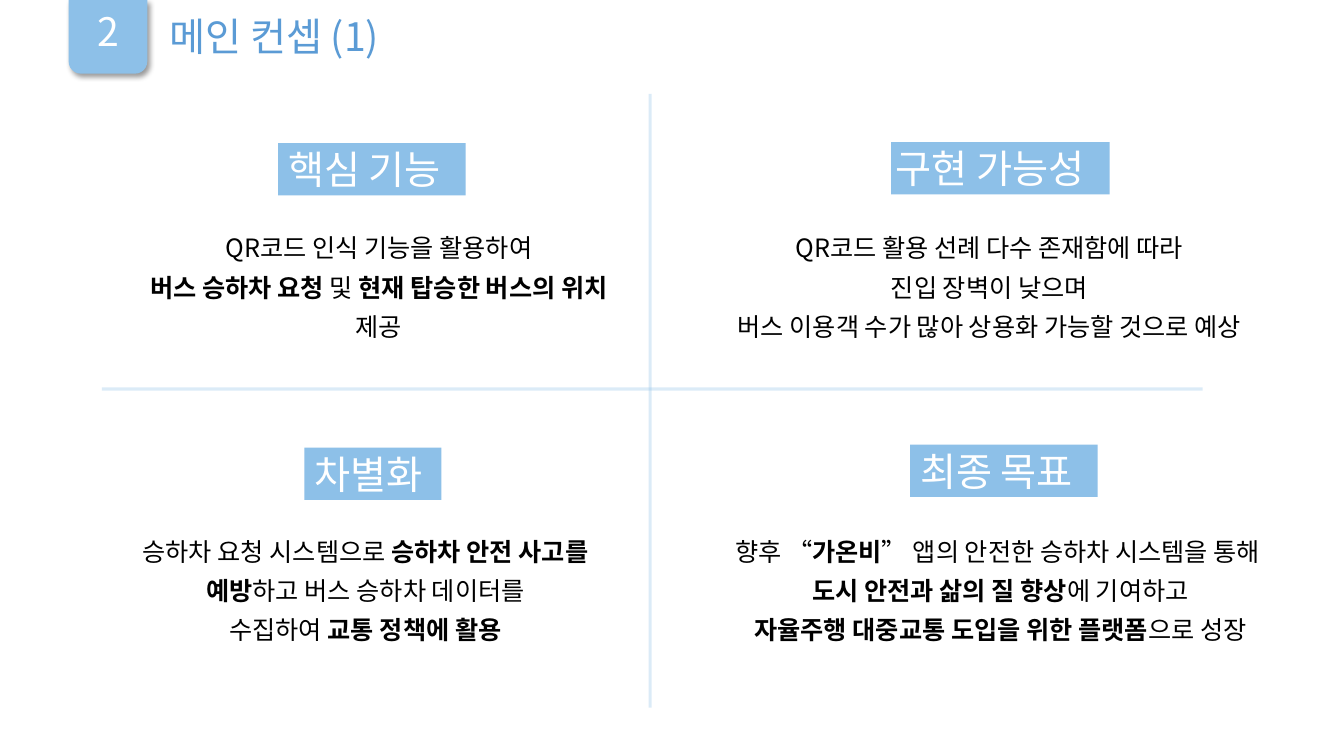
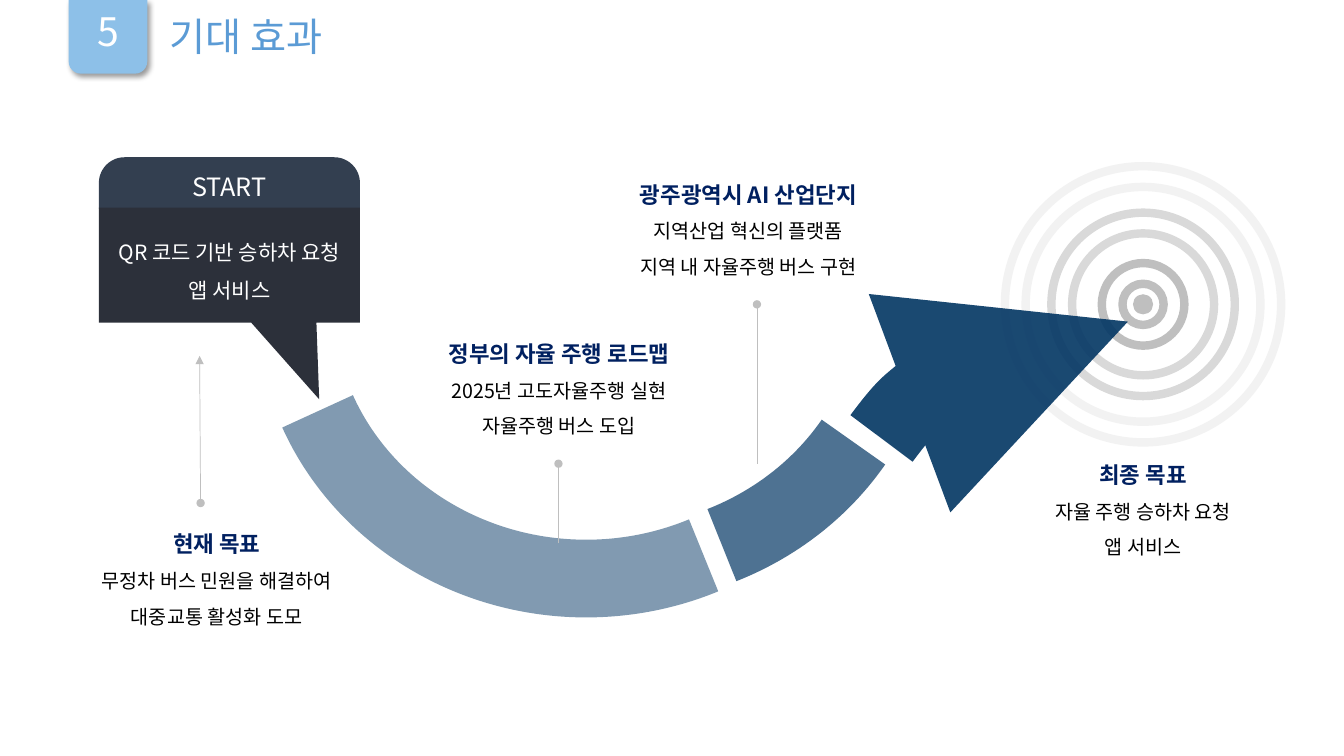
from dataclasses import dataclass

from lxml import etree
from pptx import Presentation
from pptx.dml.color import RGBColor
from pptx.enum.shapes import MSO_CONNECTOR, MSO_SHAPE
from pptx.enum.text import MSO_ANCHOR, PP_ALIGN
from pptx.oxml.ns import qn
from pptx.util import Pt

RECT = MSO_SHAPE.RECTANGLE
ROUND = MSO_SHAPE.ROUND_2_SAME_RECTANGLE
OVAL = MSO_SHAPE.OVAL
DONUT = MSO_SHAPE.DONUT
ARC = MSO_SHAPE.ARC
CALLOUT = MSO_SHAPE.RECTANGULAR_CALLOUT
STRAIGHT = MSO_CONNECTOR.STRAIGHT
LEFT, CENTER = PP_ALIGN.LEFT, PP_ALIGN.CENTER
TOP, MIDDLE = MSO_ANCHOR.TOP, MSO_ANCHOR.MIDDLE


@dataclass(frozen=True)
class Theme:
    font: str = "Noto Sans CJK KR"
    sky: str = "8DC0E8"
    title: str = "5B9BD5"
    white: str = "FFFFFF"
    black: str = "000000"
    navy: str = "002060"
    road: str = "043764"
    slate: str = "333F50"
    dark: str = "2C303A"
    gray: str = "BFBFBF"
    mid: str = "D9D9D9"
    pale: str = "F2F2F2"
    head: int = 28
    body: int = 18
    lead: int = 16
    call: int = 15
    note: int = 14


T = Theme()


def color(code):
    return RGBColor.from_string(code)


def place(box):
    return [Pt(v) for v in box]


def fade(shape, share):
    for node in shape.element.spPr.iter(qn("a:srgbClr")):
        etree.SubElement(node, qn("a:alpha"), val=str(share * 1000))


def ends(shape, head, tail):
    line = shape.element.spPr.find(qn("a:ln"))
    for tag, kind in (("a:headEnd", head), ("a:tailEnd", tail)):
        if kind:
            etree.SubElement(line, qn(tag), type=kind)


def cast(shape):
    effects = shape.element.spPr.find(qn("a:effectLst"))
    shade = etree.SubElement(effects, qn("a:outerShdw"), blurRad=str(Pt(4)),
                             dist=str(Pt(3)), dir="2700000", algn="tl", rotWithShape="0")
    tone = etree.SubElement(shade, qn("a:srgbClr"), val=T.black)
    etree.SubElement(tone, qn("a:alpha"), val="40000")


def write(shape, rows, size, tint, align=CENTER, space=1, anchor=TOP):
    frame = shape.text_frame
    frame.word_wrap = True
    frame.vertical_anchor = anchor
    for i, row in enumerate(rows):
        para = frame.add_paragraph() if i else frame.paragraphs[0]
        para.alignment = align
        para.line_spacing = space
        for j, part in enumerate(row.split("**")):
            if part:
                run = para.add_run()
                run.text = part
                style(run, size, tint, j % 2 == 1)
    return frame


def style(run, size, tint, bold):
    font = run.font
    font.name, font.size, font.bold = T.font, Pt(size), bold
    font.color.rgb = color(tint)
    etree.SubElement(run.font._element, qn("a:ea"), typeface=T.font)


def text(slide, box, rows, size, tint, **rest):
    return write(slide.shapes.add_textbox(*place(box)), rows, size, tint, **rest)


def draw(slide, kind, box, fill=None, line=None, width=0, adj=()):
    shape = slide.shapes.add_shape(kind, *place(box))
    shape.shadow.inherit = False
    if fill:
        shape.fill.solid()
        shape.fill.fore_color.rgb = color(fill)
    else:
        shape.fill.background()
    if line:
        shape.line.color.rgb = color(line)
        shape.line.width = Pt(width)
    else:
        shape.line.fill.background()
    for i, value in enumerate(adj):
        shape.adjustments[i] = value
    return shape


def rule(slide, points, tint, width):
    line = slide.shapes.add_connector(STRAIGHT, *place(points))
    line.line.color.rgb = color(tint)
    line.line.width = Pt(width)
    etree.SubElement(line.element.spPr, qn("a:effectLst"))
    return line


def header(slide, number, title):
    tab = draw(slide, ROUND, (49, 0, 56.2, 52.6), T.sky)
    tab.rotation = 180
    cast(tab)
    text(slide, (55.4, 1.4, 44.6, 41), [number], T.head, T.white)
    text(slide, (113.8, 6.5, 226.8, 41.8), [title], T.head, T.title,
         align=LEFT, space=0.9, anchor=MIDDLE)


def cross(slide, box):
    x, y, w, h = box
    for points in ((x, 277.9, x + w, 277.9), (464.4, y + h, 464.4, y)):
        fade(rule(slide, points, T.sky, 2.25), 31)


def quad(slide, box, mark, name, rows):
    x, y, w, h = box
    dx, dy, wide, inset = mark
    label = draw(slide, RECT, (x + dx, y + dy, wide, 37.4), T.sky)
    frame = write(label, [name], T.head, T.white, align=LEFT, anchor=MIDDLE)
    frame.word_wrap = False
    frame.margin_left = Pt(inset)
    frame.margin_right = frame.margin_top = frame.margin_bottom = 0
    text(slide, box, rows, T.body, T.black, space=1.3)


def concept(slide):
    header(slide, "2", "메인 컨셉 (1)")
    cross(slide, (72.7, 67, 786.3, 438.4))
    quads = (
        ((95, 156.2, 351.4, 88.6), (103.7, -54, 133.9, 7.2), "핵심 기능",
         ["QR코드 인식 기능을 활용하여",
          "**버스 승하차 요청 **및 **현재 탑승한 버스의 위치 **제공"]),
        ((495.4, 156.2, 422.6, 88.6), (141.1, -54.7, 156.2, 3), "구현 가능성",
         ["QR코드 활용 선례 다수 존재함에 따라", "진입 장벽이 낮으며",
          "버스 이용객 수가 많아 상용화 가능할 것으로 예상"]),
        ((55.4, 373, 415.4, 88.6), (162, -53.3, 97.9, 7.2), "차별화",
         ["승하차 요청 시스템으로 **승하차 안전 사고를 **",
          "**예방**하고 버스 승하차 데이터를 ",
          "수집하여 **교통 정책에 활용 **"]),
        ((484.6, 373, 460, 88.6), (165.6, -55.5, 133.9, 7.2), "최종 목표",
         ["향후 “**가온비**” 앱의 안전한 승하차 시스템을 통해 ",
          "**도시 안전과 삶의 질 향상**에 기여하고",
          "**자율주행 대중교통 도입을 위한 플랫폼**으로 성장"]),
    )
    for item in quads:
        quad(slide, *item)


def around(x, y, w, h):
    return x - w / 2, y - h / 2, w, h


def target(slide, x, y):
    for size, tint in ((59, T.gray), (131, T.mid), (197.3, T.pale)):
        draw(slide, DONUT, around(x, y, size, size), line=tint, width=6, adj=[14.8 / size])
    draw(slide, OVAL, around(x, y, 14.4, 14.4), T.gray)


def bend(slide, x, y, start, stop, share, tail=None):
    arc = draw(slide, ARC, around(x, y, 416.9, 392.4), line=T.road, width=55.5,
               adj=(start, stop))
    fade(arc, share)
    ends(arc, None, tail)


def pin(slide, points, head=None):
    ends(rule(slide, points, T.gray, 0.5), head, "oval")


def note(slide, box, name, rows):
    frame = text(slide, box, [f"**{name}**"], T.lead, T.navy, space=1.5)
    for row in rows:
        para = frame.add_paragraph()
        para.text = row
        para.alignment = CENTER
        para.line_spacing = 1.5
        style(para.runs[0], T.note, T.black, False)


def start(slide, box):
    x, y, w, h = box
    cap = draw(slide, ROUND, (x, y, w, 36.7), T.slate, adj=(0.5, 0))
    write(cap, ["START"], T.body, T.white, anchor=MIDDLE)
    call = draw(slide, CALLOUT, (x, y + 36, w, h - 36), T.dark, adj=(0.344, 1.168))
    write(call, ["QR 코드 기반 승하차 요청 앱 서비스"], T.call, T.white,
          space=1.5, anchor=MIDDLE)


def effect(slide):
    header(slide, "5", "기대 효과")
    target(slide, 816.5, 217.4)
    bend(slide, 418.7, 217.1, 38.977, 94.919, 49)
    bend(slide, 435.2, 208.4, 18.972, 39.615, 70)
    bend(slide, 800.3, 425.9, 128.066, 162.942, 91, "triangle")
    start(slide, (70.6, 112.3, 186.5, 118.1))
    pin(slide, (540.7, 331.2, 540.7, 217.4))
    pin(slide, (398.9, 388.1, 398.9, 331.2))
    pin(slide, (142.6, 254.2, 143.3, 359.3), "triangle")
    notes = (
        ((270, 229.7, 258.5, 82.8), "정부의 자율 주행 로드맵",
         ["2025년 고도자율주행 실현", "자율주행 버스 도입"]),
        ((425.5, 115.9, 218.2, 82.8), "광주광역시 AI 산업단지",
         ["지역산업 혁신의 플랫폼", "지역 내 자율주행 버스 구현"]),
        ((673.5, 316, 286, 82.8), "최종 목표",
         ["자율 주행 승하차 요청", "앱 서비스"]),
        ((54, 365.8, 201.6, 82.8), "현재 목표",
         ["무정차 버스 민원을 해결하여", "대중교통 활성화 도모"]),
    )
    for item in notes:
        note(slide, *item)


def main():
    deck = Presentation()
    deck.slide_width, deck.slide_height = Pt(960), Pt(540)
    for build in (concept, effect):
        build(deck.slides.add_slide(deck.slide_layouts[6]))
    deck.save("out.pptx")


if __name__ == "__main__":
    main()
